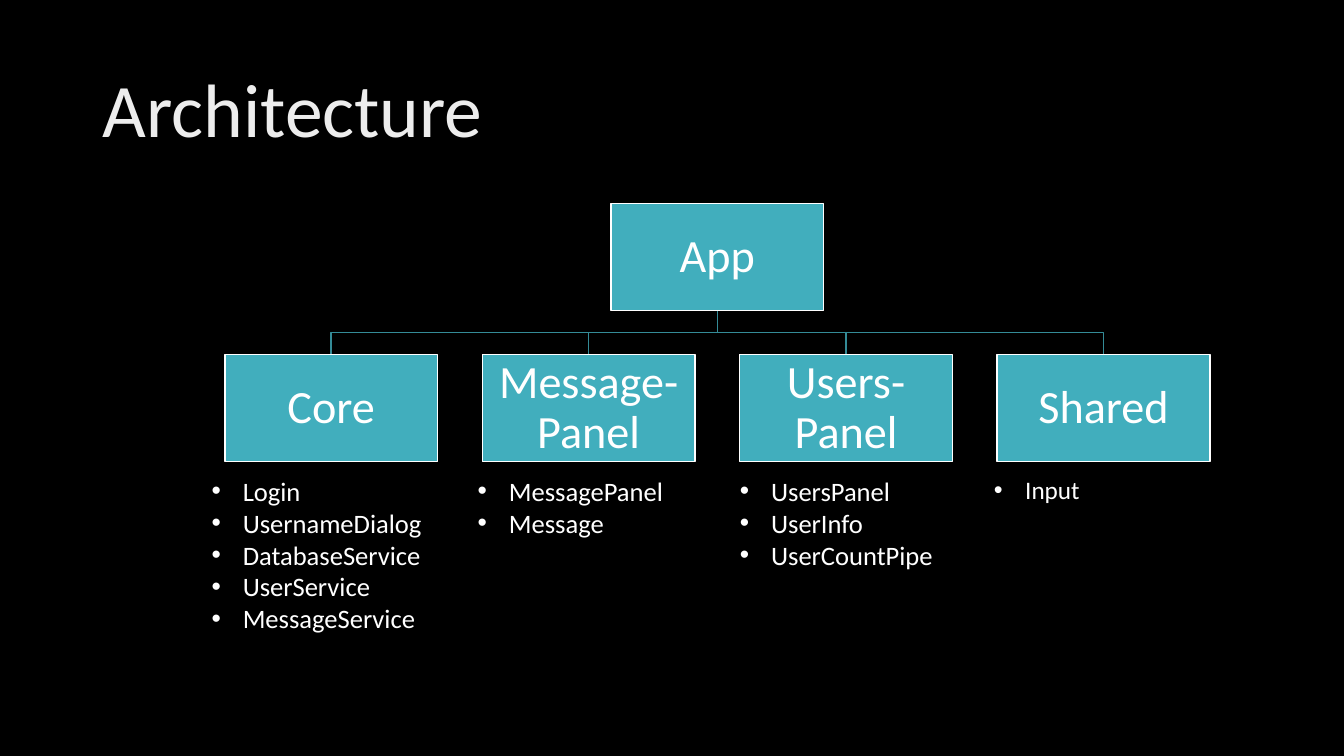
import pptx
import pptx.dml.color
import pptx.enum.shapes
import pptx.enum.text
import pptx.oxml.ns
import pptx.util
from lxml import etree

Inches = pptx.util.Inches
Pt = pptx.util.Pt
PP_ALIGN = pptx.enum.text.PP_ALIGN
MSO_ANCHOR = pptx.enum.text.MSO_ANCHOR

COLORS = {
    "background": "000000",
    "title": "EDEDED",
    "box": "41AEBD",
    "branch": "348B97",
    "text": "FFFFFF",
}
FONT = "Calibri"
BOX_W, BOX_H, LEVEL_GAP = 2.11, 1.06, 0.44

MODULES = [
    ("Core", 2, 2.63, 19,
     ["Login", "UsernameDialog", "DatabaseService", "UserService", "MessageService"]),
    ("Message-Panel", 4.64, 2.6, 19, ["MessagePanel", "Message"]),
    ("Users-Panel", 7.24, 2.58, 19, ["UsersPanel", "UserInfo", "UserCountPipe"]),
    ("Shared", 9.76, 2.31, 18, ["Input"]),
]


def rgb(name):
    """Return the named colour."""
    return pptx.dml.color.RGBColor.from_string(COLORS[name])


def style(p, size, color="text"):
    """Set the font of a paragraph."""
    p.font.name = FONT
    p.font.size = Pt(size)
    p.font.color.rgb = rgb(color)


def add_title(slide, text, left, top, width, height):
    """Add the slide title, centred vertically in its box."""
    tf = slide.shapes.add_textbox(
        Inches(left), Inches(top), Inches(width), Inches(height)).text_frame
    tf.word_wrap = True
    tf.vertical_anchor = MSO_ANCHOR.MIDDLE
    p = tf.paragraphs[0]
    p.text = text
    p.line_spacing = 0.9
    style(p, 54, "title")


def add_box(slide, text, left, top):
    """Add one labelled box of the tree."""
    sp = slide.shapes.add_shape(
        pptx.enum.shapes.MSO_SHAPE.RECTANGLE,
        Inches(left), Inches(top), Inches(BOX_W), Inches(BOX_H))
    sp.shadow.inherit = False
    sp.fill.solid()
    sp.fill.fore_color.rgb = rgb("box")
    sp.line.color.rgb = rgb("text")
    sp.line.width = Pt(1)
    tf = sp.text_frame
    tf.word_wrap = True
    tf.vertical_anchor = MSO_ANCHOR.MIDDLE
    tf.margin_left = tf.margin_right = tf.margin_top = tf.margin_bottom = Inches(0.02)
    p = tf.paragraphs[0]
    p.text = text
    p.alignment = PP_ALIGN.CENTER
    p.line_spacing = 0.9
    style(p, 33)


def add_branch(slide, x1, y1, x2, y2):
    """Add an elbow line from a parent down to a child."""
    mid = (y1 + y2) / 2
    builder = slide.shapes.build_freeform(Inches(x1), Inches(y1))
    builder.add_line_segments(
        [(Inches(x), Inches(y)) for x, y in ((x1, mid), (x2, mid), (x2, y2))],
        close=False)
    sp = builder.convert_to_shape()
    sp.shadow.inherit = False
    sp.fill.background()
    sp.line.color.rgb = rgb("branch")
    sp.line.width = Pt(1)


def add_tree(slide, root, children, left, top, width):
    """Add the root box above an evenly spaced row of child boxes."""
    pitch = (width - BOX_W) / (len(children) - 1)
    root_left = left + (width - BOX_W) / 2
    row_top = top + BOX_H + LEVEL_GAP
    lefts = [left + i * pitch for i in range(len(children))]
    for x in reversed(lefts):
        add_branch(slide, root_left + BOX_W / 2, top + BOX_H, x + BOX_W / 2, row_top)
    add_box(slide, root, root_left, top)
    for name, x in zip(children, lefts):
        add_box(slide, name, x, row_top)


def add_list(slide, items, size, left, top, width):
    """Add a bulleted list of module members."""
    height = 0.1 + 0.32 * len(items)
    tf = slide.shapes.add_textbox(
        Inches(left), Inches(top), Inches(width), Inches(height)).text_frame
    tf.word_wrap = True
    tf.auto_size = pptx.enum.text.MSO_AUTO_SIZE.SHAPE_TO_FIT_TEXT
    tf.text = "\n".join(items)
    for p in tf.paragraphs:
        style(p, size)
        pPr = p._p.get_or_add_pPr()
        pPr.set("marL", str(Inches(0.31)))
        pPr.set("indent", str(-Inches(0.31)))
        bullet_font = etree.Element(pptx.oxml.ns.qn("a:buFont"), typeface="Arial")
        bullet = etree.Element(pptx.oxml.ns.qn("a:buChar"), char="•")
        pPr.insert(0, bullet_font)
        pPr.insert(1, bullet)


def main():
    """Build and save the architecture slide."""
    prs = pptx.Presentation()
    prs.slide_width, prs.slide_height = Inches(13.33), Inches(7.5)
    slide = prs.slides.add_slide(prs.slide_layouts[6])
    slide.background.fill.solid()
    slide.background.fill.fore_color.rgb = rgb("background")
    add_title(slide, "Architecture", 0.92, 0.4, 11.5, 1.45)
    add_tree(slide, "App", [module[0] for module in MODULES], 2.23, 2.02, 9.77)
    for _, left, width, size, items in MODULES:
        add_list(slide, items, size, left, 4.66, width)
    prs.save("out.pptx")


if __name__ == "__main__":
    main()
